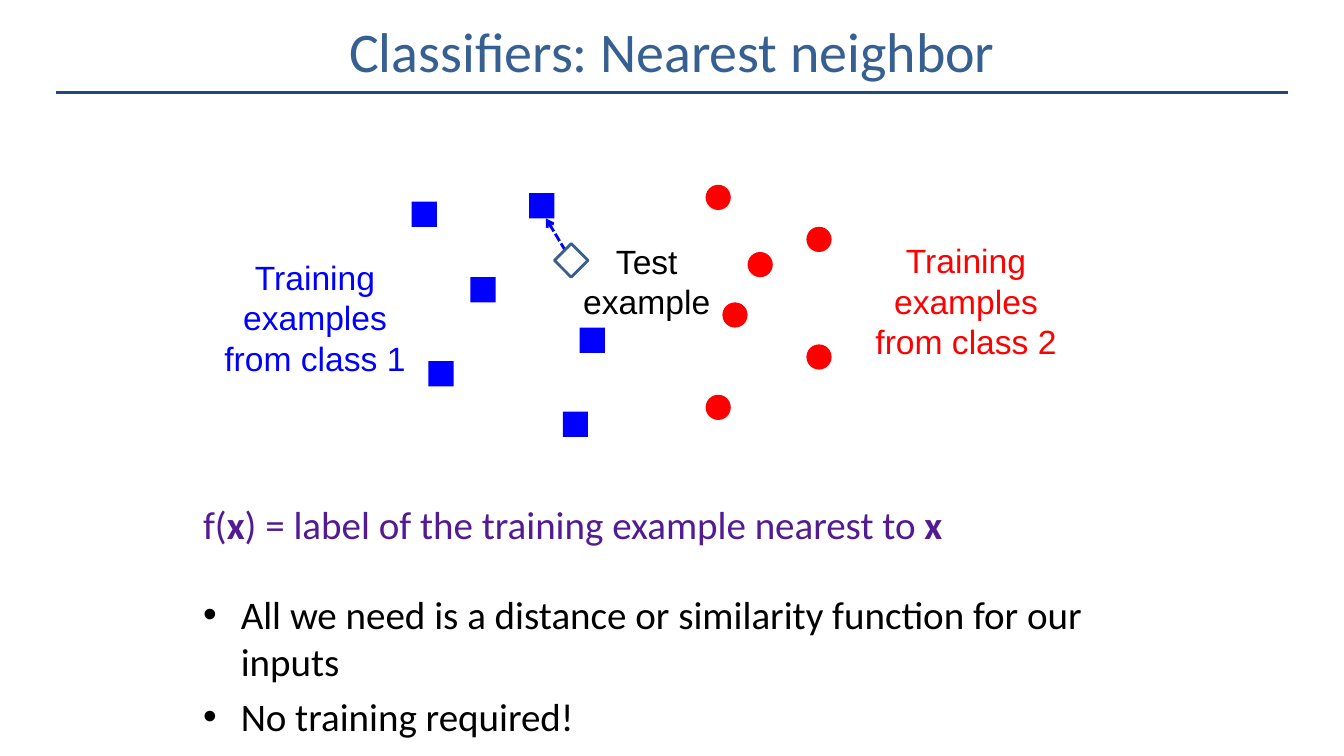
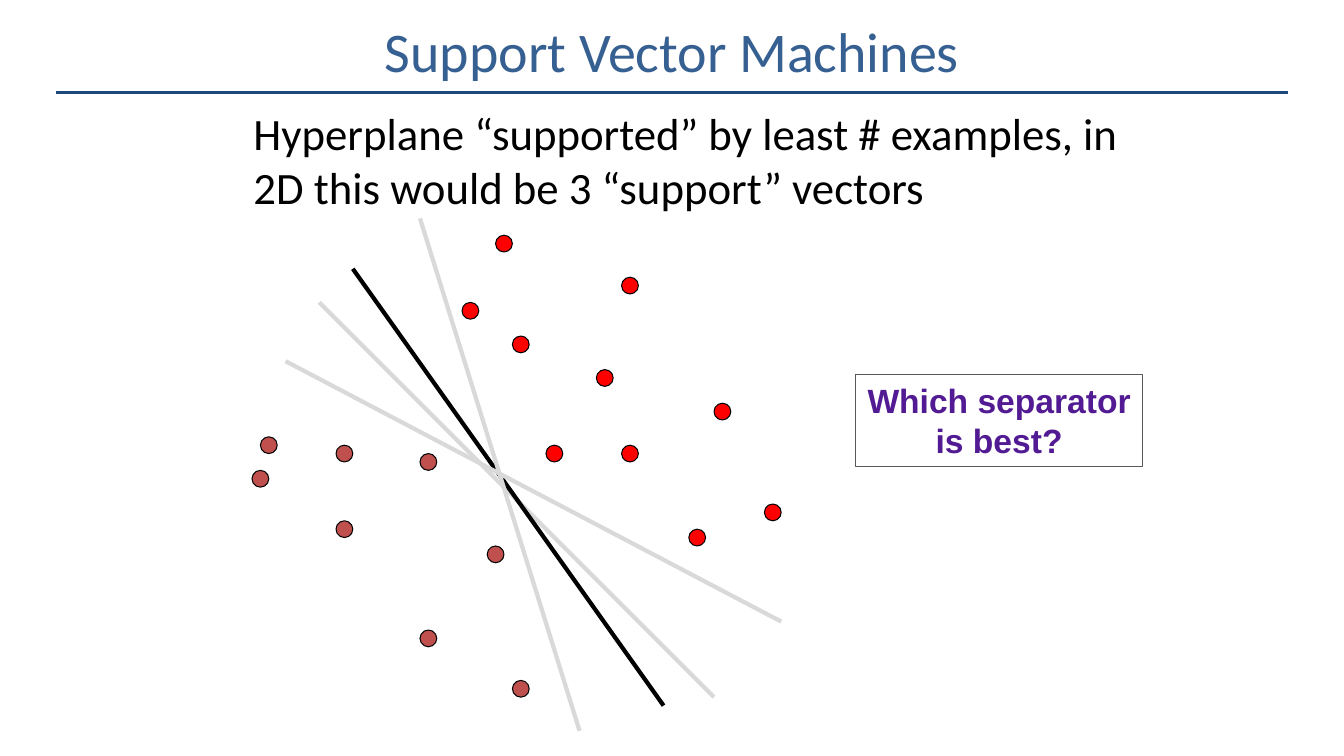
from dataclasses import dataclass

from pptx import Presentation
from pptx import oxml
from pptx import util as u
from pptx.dml.color import RGBColor
from pptx.enum import dml, shapes, text
from pptx.oxml import ns

TITLE_BLUE = RGBColor(0x37, 0x60, 0x92)
RULE_BLUE = RGBColor(0x1F, 0x49, 0x7D)
OUTLINE_BLUE = RGBColor(0x3A, 0x5F, 0x8C)
BLUE = RGBColor(0x00, 0x00, 0xFF)
RED = RGBColor(0xFF, 0x00, 0x00)
BROWN = RGBColor(0xC0, 0x50, 0x4D)
PURPLE = RGBColor(0x52, 0x1B, 0x93)
BLACK = RGBColor(0x00, 0x00, 0x00)
WHITE = RGBColor(0xFF, 0xFF, 0xFF)
LIGHT_GRAY = RGBColor(0xD9, 0xD9, 0xD9)
DARK_GRAY = RGBColor(0x59, 0x59, 0x59)

HEADING_FONT = "Calibri"
LABEL_FONT = "Arial"
CELLS_PER_INCH = 12
CENTER = text.PP_ALIGN.CENTER
SHAPE = shapes.MSO_SHAPE


def grid(cells):
    return u.Cm(cells * 2.54 / CELLS_PER_INCH)


@dataclass
class Box:
    left: float
    top: float
    width: float
    height: float

    def inner(self, left, top, width, height):
        return Box(self.left + left, self.top + top, width, height)

    def lengths(self):
        return [grid(n) for n in (self.left, self.top, self.width, self.height)]


def add_text_box(page, box, anchor=text.MSO_ANCHOR.TOP, wrap=True):
    holder = page.shapes.add_textbox(*box.lengths())
    holder.text_frame.word_wrap = wrap
    holder.text_frame.vertical_anchor = anchor
    return holder


def add_text(holder, words, size=24, font=LABEL_FONT, color=BLACK, bold=False,
             align=text.PP_ALIGN.LEFT, before=0, bullet=None):
    frame = holder.text_frame
    para = frame.paragraphs[0] if not frame.text else frame.add_paragraph()
    para.alignment = align
    para.space_before = u.Pt(before)
    if bullet:
        props = para._p.get_or_add_pPr()
        props.set("marL", str(u.Cm(0.95)))
        props.set("indent", str(u.Cm(-0.95)))
        face = oxml.parse_xml(f'<a:buFont {ns.nsdecls("a")} typeface="Arial"/>')
        mark = oxml.parse_xml(f'<a:buChar {ns.nsdecls("a")} char="{bullet}"/>')
        props.extend([face, mark])
    for index, part in enumerate(words.split("*")):
        if part:
            span = para.add_run()
            span.text = part
            span.font.size = u.Pt(size)
            span.font.name = font
            span.font.color.rgb = color
            span.font.bold = bold or index % 2 == 1


def add_marker(page, kind, box, fill, line=None, weight=0.75):
    marker = page.shapes.add_shape(kind, *box.lengths())
    marker.shadow.inherit = False
    marker.fill.solid()
    marker.fill.fore_color.rgb = fill
    if line is None:
        marker.line.fill.background()
    else:
        marker.line.color.rgb = line
        marker.line.width = u.Pt(weight)


def add_markers(page, kind, area, places, size, fill, line=None):
    for left, top in places:
        add_marker(page, kind, area.inner(left, top, size, size), fill, line)


def add_line(page, area, start, end, color, weight, dash=None, arrow=False):
    ends = [grid(n) for x, y in (start, end) for n in (area.left + x, area.top + y)]
    line = page.shapes.add_connector(shapes.MSO_CONNECTOR.STRAIGHT, *ends)
    line.line.color.rgb = color
    line.line.width = u.Pt(weight)
    if dash:
        line.line.dash_style = dash
    props = line._element.spPr
    if arrow:
        head = oxml.parse_xml(f'<a:tailEnd {ns.nsdecls("a")} type="arrow"/>')
        props.find(ns.qn("a:ln")).append(head)
    props.append(oxml.parse_xml(f'<a:effectLst {ns.nsdecls("a")}/>'))


def add_page(deck, title):
    page = deck.slides.add_slide(deck.slide_layouts[6])
    band = Box(8, 0, 144, 12)
    add_line(page, band, (-1.3, 11), (145.3, 11), RULE_BLUE, 2.25)
    holder = add_text_box(page, band, anchor=text.MSO_ANCHOR.MIDDLE)
    add_text(holder, title, size=40, font=HEADING_FONT, color=TITLE_BLUE, align=CENTER)
    return page


def add_neighbor_figure(page, area):
    class_one = [(24, 2), (31, 11), (38, 1), (26, 21), (44, 17), (42, 27)]
    class_two = [(71, 5), (61, 14), (71, 19), (59, 0), (64, 8), (59, 25)]
    add_markers(page, SHAPE.RECTANGLE, area, class_one, 3, BLUE)
    add_markers(page, SHAPE.OVAL, area, class_two, 3, RED)
    labels = [
        ("Test example", BLACK, (43, 6.1, 18, 10.9)),
        ("Training examples from class 1", BLUE, (0, 8, 25, 15.7)),
        ("Training examples from class 2", RED, (77, 6, 26, 15.7)),
    ]
    for words, color, place in labels:
        holder = add_text_box(page, area.inner(*place))
        add_text(holder, words, color=color, align=CENTER)
    add_line(page, area, (43, 9), (40, 4), BLUE, 2,
             dash=dml.MSO_LINE.SQUARE_DOT, arrow=True)
    add_marker(page, SHAPE.DIAMOND, area.inner(41, 7, 4, 4), WHITE, OUTLINE_BLUE, 2)


def add_neighbor_notes(page, area):
    holder = add_text_box(page, area)
    style = {"size": 27.9, "font": HEADING_FONT}
    add_text(holder, "f(*x*) = label of the training example nearest to *x*",
             color=PURPLE, **style)
    add_text(holder, "All we need is a distance or similarity function for our inputs",
             before=31, bullet="•", **style)
    add_text(holder, "No training required!", before=5.6, bullet="•", **style)


def add_separator_figure(page, area):
    brown_dots = [(1, 26), (10, 27), (10, 36), (0, 30), (20, 28), (28, 39),
                  (20, 49), (31, 55)]
    red_dots = [(31, 14), (41, 18), (44, 27), (35, 27), (25, 10), (52, 37),
                (55, 22), (44, 7), (61, 34), (29, 2)]
    separators = [
        ((8, 10), (55, 57), LIGHT_GRAY),
        ((12, 6), (49, 58), BLACK),
        ((20, 0), (39, 61), LIGHT_GRAY),
        ((4, 17), (63, 48), LIGHT_GRAY),
    ]
    for places, fill in ((brown_dots, BROWN), (red_dots, RED)):
        add_markers(page, SHAPE.OVAL, area, places, 2, fill, BLACK)
    for start, end, color in separators:
        add_line(page, area, start, end, color, 3)


def add_question(page, area):
    holder = add_text_box(page, area, wrap=False)
    holder.line.color.rgb = DARK_GRAY
    holder.line.width = u.Pt(0.75)
    for words in ("Which separator", "is best?"):
        add_text(holder, words, color=PURPLE, bold=True, align=CENTER)


def add_neighbor_page(deck):
    page = add_page(deck, "Classifiers: Nearest neighbor")
    add_neighbor_notes(page, Box(23, 59, 114, 27))
    add_neighbor_figure(page, Box(25, 22, 103, 30))


def add_separator_page(deck):
    page = add_page(deck, "Support Vector Machines")
    holder = add_text_box(page, Box(29, 12, 108, 14))
    add_text(holder, "Hyperplane “supported” by least # examples, in 2D this would be "
             "3 “support” vectors", size=32, font=HEADING_FONT)
    add_separator_figure(page, Box(30, 26, 63, 61))
    add_question(page, Box(101.9, 44.6, 34.1, 10.9))


def main():
    deck = Presentation()
    deck.slide_width = grid(160)
    deck.slide_height = grid(90)
    add_neighbor_page(deck)
    add_separator_page(deck)
    deck.save("out.pptx")


if __name__ == "__main__":
    main()
